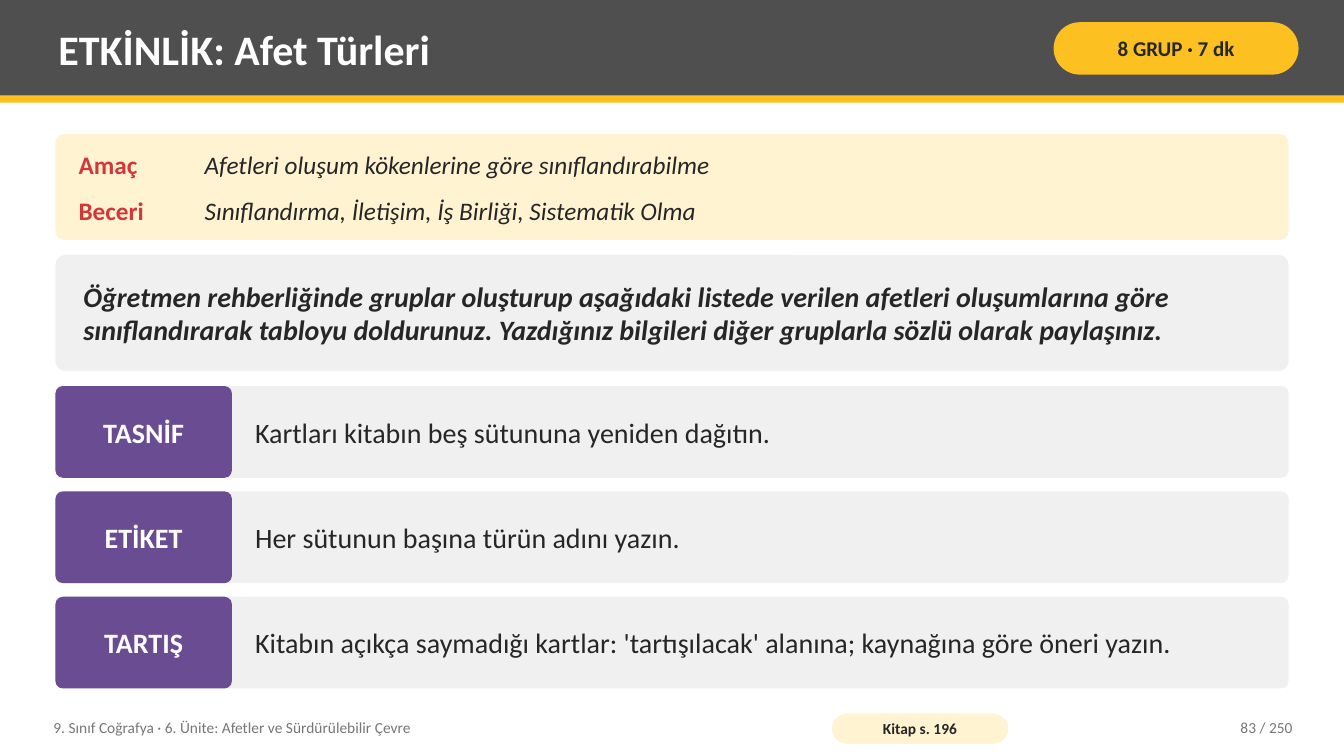
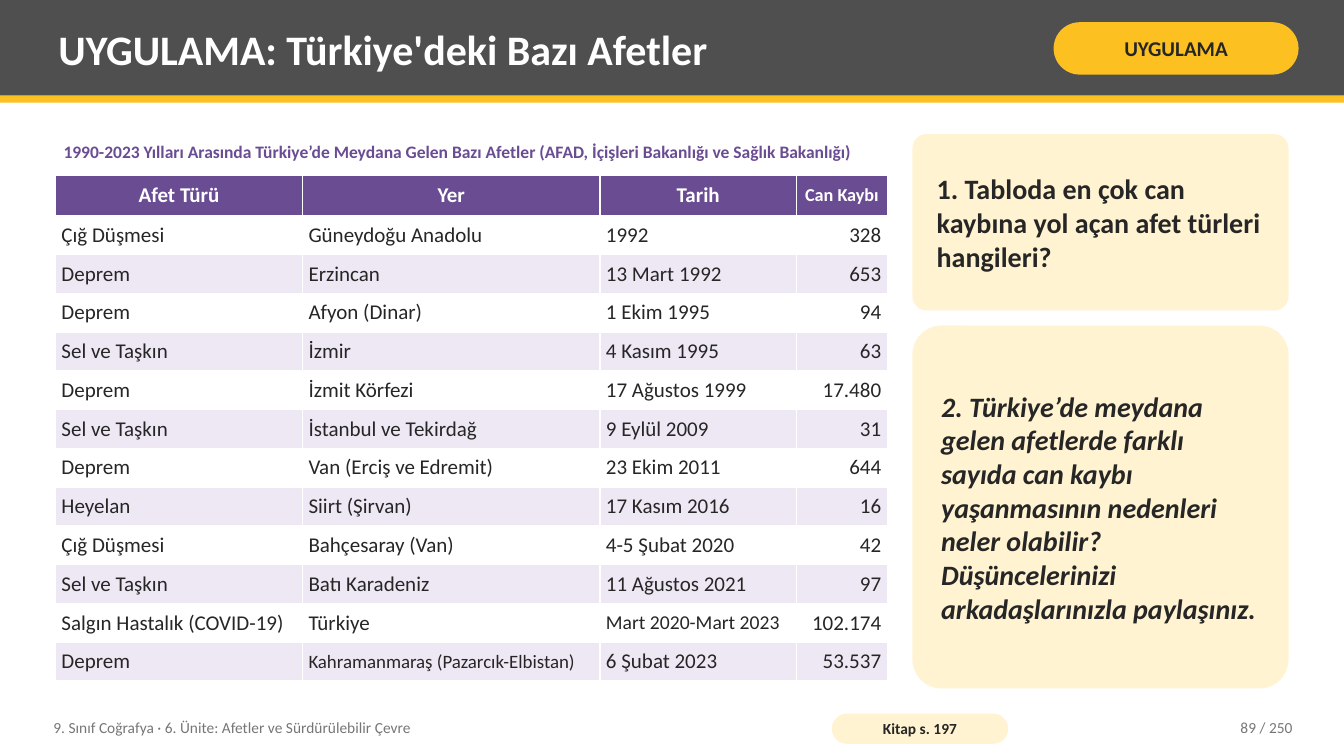
"""Build two classroom slides on disaster types: a group activity and a data exercise."""
from lxml import etree
from pptx import Presentation, util as u
from pptx.dml.color import RGBColor
from pptx.enum import shapes as es, text as et
from pptx.oxml.ns import qn

DARK = RGBColor(0x4F, 0x4F, 0x4F)
GOLD = RGBColor(0xFC, 0xC0, 0x21)
CREAM = RGBColor(0xFF, 0xF3, 0xD1)
GREY = RGBColor(0xF0, 0xF0, 0xF0)
PLUM = RGBColor(0x6A, 0x4C, 0x93)
LILAC = RGBColor(0xEE, 0xE8, 0xF5)
RED = RGBColor(0xD3, 0x37, 0x3A)
INK = RGBColor(0x26, 0x26, 0x26)
MUTE = RGBColor(0x76, 0x76, 0x76)
WHITE = RGBColor(0xFF, 0xFF, 0xFF)
FONT = "Calibri"
LEFT, CENTER, RIGHT = et.PP_ALIGN.LEFT, et.PP_ALIGN.CENTER, et.PP_ALIGN.RIGHT
MID = et.MSO_ANCHOR.MIDDLE
RECT, ROUND = es.MSO_SHAPE.RECTANGLE, es.MSO_SHAPE.ROUNDED_RECTANGLE

WIDE, HIGH = 13.33, 7.5
EDGE, TOP, GAP = 0.55, 1.33, 0.15
SPAN = 12.23
FOOT = 7.04


def write(frame, words, size, ink=INK, bold=False, ital=False, align=LEFT):
    """Fill a text frame with one styled paragraph."""
    frame.text = words
    line = frame.paragraphs[0]
    line.alignment = align
    for run in line.runs:
        font = run.font
        font.name, font.size, font.bold, font.italic = FONT, u.Pt(size), bold, ital
        font.color.rgb = ink


def put(page, box, words="", size=20, fill=None, kind=ROUND, bend=0.08, pad=(0.08, 0.04), **look):
    """Add a filled shape, or a text box when there is no fill."""
    area = [u.Inches(n) for n in box]
    if fill is None:
        item = page.shapes.add_textbox(*area)
    else:
        item = page.shapes.add_shape(kind, *area)
        item.shadow.inherit = False
        item.fill.solid()
        item.fill.fore_color.rgb = fill
        item.line.fill.background()
        if kind == ROUND:
            item.adjustments[0] = bend
    if words:
        frame = item.text_frame
        frame.word_wrap = True
        frame.vertical_anchor = MID
        frame.margin_left = frame.margin_right = u.Inches(pad[0])
        frame.margin_top = frame.margin_bottom = u.Inches(pad[1])
        write(frame, words, size, **look)
    return item


deck = Presentation()
deck.slide_width, deck.slide_height = u.Inches(WIDE), u.Inches(HIGH)
base = deck.slide_layouts[5]
heads = [
    ("ETKİNLİK: Afet Türleri", "8 GRUP · 7 dk", "Kitap s. 196", "83 / 250"),
    ("UYGULAMA: Türkiye'deki Bazı Afetler", "UYGULAMA", "Kitap s. 197", "89 / 250"),
]
pages = [deck.slides.add_slide(base) for _ in heads]

for spot, (y, tall, fill) in enumerate([(0, 0.95, DARK), (0.95, 0.07, GOLD)]):
    band = put(pages[0], (0, y, WIDE, tall), fill=fill, kind=RECT)
    base.shapes.element.insert(2 + spot, band.element)

for page, (name, tag, book, count) in zip(pages, heads):
    title = page.shapes.title
    title.left, title.top = u.Inches(0.5), u.Inches(0.07)
    title.width, title.height = u.Inches(9.75), u.Inches(0.82)
    frame = title.text_frame
    frame.auto_size = et.MSO_AUTO_SIZE.NONE
    frame.vertical_anchor = MID
    frame.margin_left = frame.margin_right = u.Inches(0.08)
    frame.margin_top = frame.margin_bottom = u.Inches(0.04)
    write(frame, name, 30, WHITE, bold=True)
    put(page, (10.45, 0.22, 2.43, 0.52), tag, 15, GOLD, bend=0.5, pad=(0.05, 0.02),
        bold=True, align=CENTER)
    put(page, (0.45, FOOT, 7.6, 0.36),
        "9. Sınıf Coğrafya · 6. Ünite: Afetler ve Sürdürülebilir Çevre", 11, ink=MUTE)
    put(page, (8.25, FOOT + 0.04, 1.75, 0.3), book, 11, CREAM, bend=0.5, pad=(0.04, 0),
        bold=True, align=CENTER)
    put(page, (11.3, FOOT, 1.6, 0.36), count, 11, ink=MUTE, align=RIGHT)

task, quiz = pages

put(task, (EDGE, TOP, SPAN, 1.05), fill=CREAM)
goals = [
    (1.39, 0.49, "Amaç", "Afetleri oluşum kökenlerine göre sınıflandırabilme"),
    (1.86, 0.46, "Beceri", "Sınıflandırma, İletişim, İş Birliği, Sistematik Olma"),
]
for y, tall, name, words in goals:
    put(task, (0.7, y, 1.25, tall), name, 18, ink=RED, bold=True)
    put(task, (1.95, y, 10.63, tall), words, 18, ital=True)

put(task, (EDGE, TOP + 1.05 + GAP, SPAN, 1.15),
    "Öğretmen rehberliğinde gruplar oluşturup aşağıdaki listede verilen afetleri oluşumlarına göre "
    "sınıflandırarak tabloyu doldurunuz. Yazdığınız bilgileri diğer gruplarla sözlü olarak paylaşınız.",
    fill=GREY, pad=(0.25, 0.08), bold=True, ital=True)

steps = [
    ("TASNİF", "Kartları kitabın beş sütununa yeniden dağıtın."),
    ("ETİKET", "Her sütunun başına türün adını yazın."),
    ("TARTIŞ", "Kitabın açıkça saymadığı kartlar: 'tartışılacak' alanına; kaynağına göre öneri yazın."),
]
tall, pitch = 0.91, 1.045
for row, (name, words) in enumerate(steps):
    y = 3.83 + row * pitch
    put(task, (EDGE, y, SPAN, tall), fill=GREY)
    put(task, (EDGE, y, 1.75, tall), name, fill=PLUM, pad=(0.06, 0.08),
        ink=WHITE, bold=True, align=CENTER)
    put(task, (EDGE + 1.75 + GAP, y, 10.23, tall), words)

cols = [2.45, 2.95, 1.95, 0.9]
rows = [
    ("Afet Türü", "Yer", "Tarih", "Can Kaybı"),
    ("Çığ Düşmesi", "Güneydoğu Anadolu", "1992", "328"),
    ("Deprem", "Erzincan", "13 Mart 1992", "653"),
    ("Deprem", "Afyon (Dinar)", "1 Ekim 1995", "94"),
    ("Sel ve Taşkın", "İzmir", "4 Kasım 1995", "63"),
    ("Deprem", "İzmit Körfezi", "17 Ağustos 1999", "17.480"),
    ("Sel ve Taşkın", "İstanbul ve Tekirdağ", "9 Eylül 2009", "31"),
    ("Deprem", "Van (Erciş ve Edremit)", "23 Ekim 2011", "644"),
    ("Heyelan", "Siirt (Şirvan)", "17 Kasım 2016", "16"),
    ("Çığ Düşmesi", "Bahçesaray (Van)", "4-5 Şubat 2020", "42"),
    ("Sel ve Taşkın", "Batı Karadeniz", "11 Ağustos 2021", "97"),
    ("Salgın Hastalık (COVID-19)", "Türkiye", "Mart 2020-Mart 2023", "102.174"),
    ("Deprem", "Kahramanmaraş (Pazarcık-Elbistan)", "6 Şubat 2023", "53.537"),
]
small = {"Can Kaybı": 13, "Mart 2020-Mart 2023": 14, "Kahramanmaraş (Pazarcık-Elbistan)": 13.5}

put(quiz, (EDGE, 1.28, sum(cols), 0.44),
    "1990-2023 Yılları Arasında Türkiye’de Meydana Gelen Bazı Afetler "
    "(AFAD, İçişleri Bakanlığı ve Sağlık Bakanlığı)", 12.5, ink=PLUM, bold=True)
grid = quiz.shapes.add_table(len(rows), len(cols), u.Inches(EDGE), u.Inches(1.74),
                             u.Inches(sum(cols)), u.Inches(5.02)).table
grid.horz_banding = False
for col, wide in zip(grid.columns, cols):
    col.width = u.Inches(wide)
for r, data in enumerate(rows):
    grid.rows[r].height = u.Inches(0.385 if r else 0.4)
    for c, words in enumerate(data):
        cell = grid.cell(r, c)
        cell.vertical_anchor = MID
        cell.margin_left = cell.margin_right = u.Inches(0.06)
        cell.margin_top = cell.margin_bottom = u.Inches(0.05)
        props = cell._tc.get_or_add_tcPr()
        for side in ("a:lnL", "a:lnR", "a:lnT", "a:lnB"):
            line = etree.SubElement(props, qn(side), w=str(u.Pt(0.96)))
            paint = etree.SubElement(line, qn("a:solidFill"))
            etree.SubElement(paint, qn("a:srgbClr"), val=str(WHITE))
        cell.fill.solid()
        cell.fill.fore_color.rgb = PLUM if r == 0 else WHITE if r % 2 else LILAC
        align = CENTER if r == 0 else RIGHT if c == 3 else LEFT
        write(cell.text_frame, words, small.get(words, 15), INK if r else WHITE,
              bold=r == 0, align=align)

asks = [
    (1.75, False, "1. Tabloda en çok can kaybına yol açan afet türleri hangileri?"),
    (3.6, True, "2. Türkiye’de meydana gelen afetlerde farklı sayıda can kaybı yaşanmasının "
                "nedenleri neler olabilir? Düşüncelerinizi arkadaşlarınızla paylaşınız."),
]
y = TOP
for tall, ital, words in asks:
    put(quiz, (9.05, y, 3.73, tall), words, fill=CREAM, pad=(0.2, 0.08), bold=True, ital=ital)
    y += tall + GAP

deck.save("out.pptx")
